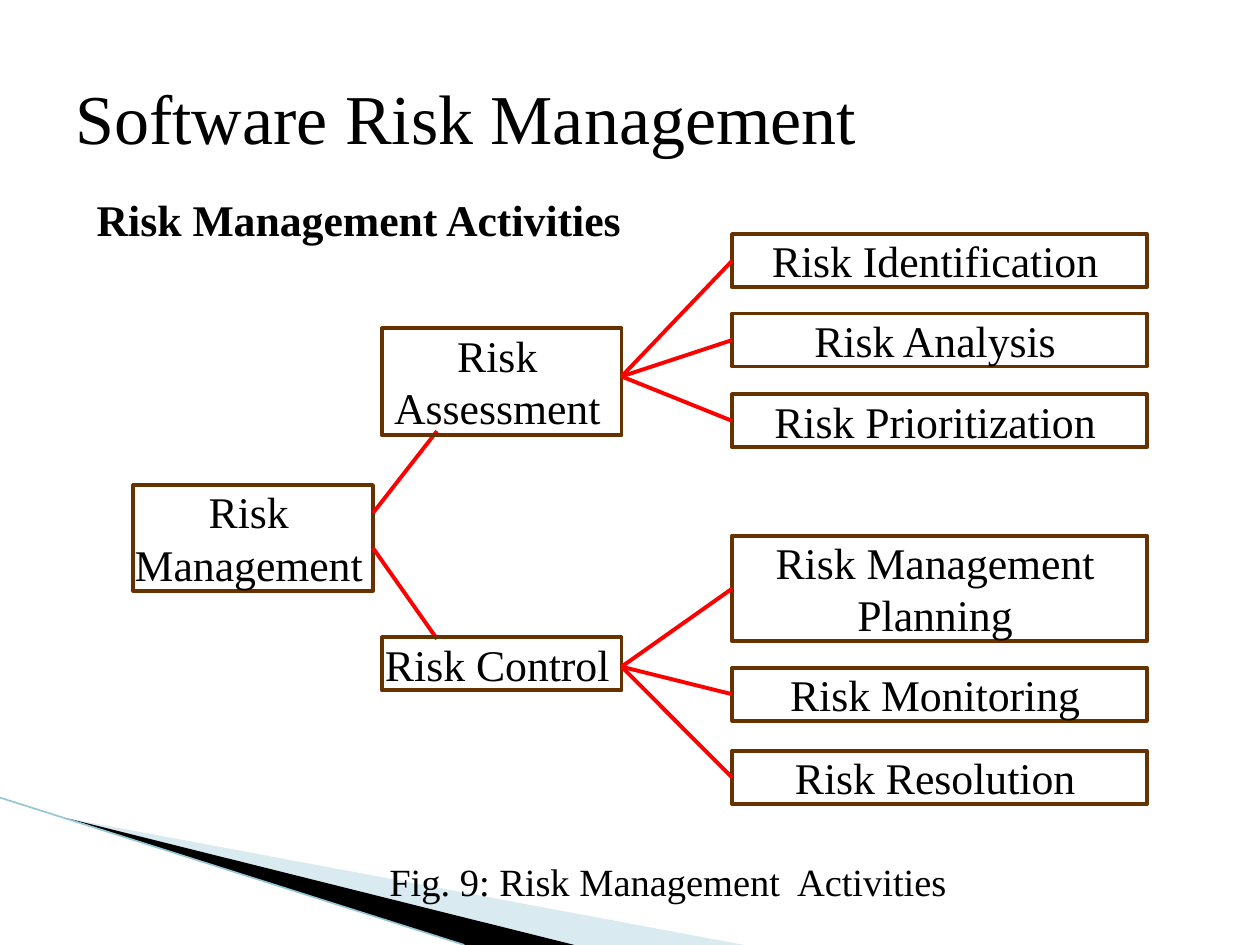
from dataclasses import dataclass

from lxml import etree
from pptx import Presentation
from pptx.dml.color import RGBColor
from pptx.enum.shapes import MSO_CONNECTOR, MSO_SHAPE
from pptx.enum.text import MSO_ANCHOR, PP_ALIGN
from pptx.oxml.ns import qn
from pptx.util import Cm, Pt

RECTANGLE = MSO_SHAPE.RECTANGLE
STRAIGHT = MSO_CONNECTOR.STRAIGHT
TOP, MIDDLE = MSO_ANCHOR.TOP, MSO_ANCHOR.MIDDLE
LEFT, CENTER = PP_ALIGN.LEFT, PP_ALIGN.CENTER

FONT = "Times New Roman"
BLACK, BROWN, RED = "000000", "653200", "FF0000"
PALE_BLUE, EDGE_BLUE = "A0CBDC", "97C5D8"
NODE_WIDTH, LEAF_WIDTH = 4.83, 8.36
ONE_LINE, TWO_LINES = 1.07, 2.13


@dataclass
class Box:
    left: float
    top: float
    width: float
    height: float

    @property
    def right(self):
        return self.left + self.width

    @property
    def middle(self):
        return self.top + self.height / 2

    def lengths(self):
        return [Cm(value) for value in (self.left, self.top, self.width, self.height)]


def color(value):
    return RGBColor.from_string(value)


def write(shape, text, size, align=LEFT, anchor=TOP, bold=False, insets=(0, 0)):
    text_frame = shape.text_frame
    text_frame.text = text
    text_frame.word_wrap = True
    text_frame.vertical_anchor = anchor
    text_frame.margin_left, text_frame.margin_right = [Cm(inset) for inset in insets]
    text_frame.margin_top = text_frame.margin_bottom = 0
    paragraph = text_frame.paragraphs[0]
    paragraph.alignment = align
    font = paragraph.runs[0].font
    font.name, font.size, font.bold = FONT, Pt(size), bold
    font.color.rgb = color(BLACK)


def add_text(slide, box, text, size, **style):
    write(slide.shapes.add_textbox(*box.lengths()), text, size, **style)


def add_node(slide, box, text):
    shape = slide.shapes.add_shape(RECTANGLE, *box.lengths())
    shape.shadow.inherit = False
    shape.fill.background()
    shape.line.color.rgb = color(BROWN)
    shape.line.width = Pt(2.25)
    write(shape, text, 25, align=CENTER, insets=(0, 0.18))


def add_line(slide, start, end, line_color=RED, width=2.25):
    points = [Cm(value) for value in (*start, *end)]
    connector = slide.shapes.add_connector(STRAIGHT, *points)
    connector.line.color.rgb = color(line_color)
    connector.line.width = Pt(width)
    etree.SubElement(connector._element.spPr, qn("a:effectLst"))


def add_wedge(slide, points, fill_color, opacity=100):
    start, *others = [(Cm(x), Cm(y)) for x, y in points]
    builder = slide.shapes.build_freeform(*start)
    builder.add_line_segments(others, close=True)
    shape = builder.convert_to_shape()
    shape.shadow.inherit = False
    shape.fill.solid()
    shape.fill.fore_color.rgb = color(fill_color)
    shape.line.fill.background()
    fill = shape._element.spPr.find(qn("a:solidFill"))
    etree.SubElement(fill[0], qn("a:alpha"), val=str(opacity * 1000))


def draw_corner(slide, box):
    bottom = box.top + box.height
    tip = (box.left + 1.37, box.top + 0.42)
    edge, inner = box.left + 9.36, box.left + 11.58
    add_wedge(slide, [tip, (box.right, bottom), (inner, bottom)], PALE_BLUE, 40)
    add_wedge(slide, [tip, (inner, bottom), (edge, bottom)], BLACK)
    add_line(slide, (box.left, box.top), (edge, bottom), EDGE_BLUE, 0.95)


def draw_headings(slide, box):
    title = Box(box.left, box.top, box.width, 3.18)
    add_text(slide, title, "Software Risk Management", 40, anchor=MIDDLE, insets=(0.25, 0.25))
    subtitle = Box(box.left + 0.68, box.top + 3.12, 12, 1.1)
    add_text(slide, subtitle, "Risk Management Activities", 25, bold=True)


def draw_root(slide, box):
    add_node(slide, box, "Risk Management")
    reach = box.right + 1.29
    add_line(slide, (box.right, box.top + 0.56), (reach, box.top - 1.09))
    add_line(slide, (box.right, box.top + 1.27), (reach, box.top + 3.1))


def draw_branch(slide, box, node_text, node_top, node_height, hub_drop, leaves):
    node = Box(box.left, box.top + node_top, NODE_WIDTH, node_height)
    add_node(slide, node, node_text)
    for text, offset, height in leaves:
        leaf = Box(box.right - LEAF_WIDTH, box.top + offset, LEAF_WIDTH, height)
        add_node(slide, leaf, text)
        add_line(slide, (node.right, node.top + hub_drop), (leaf.left, leaf.middle))


def main():
    presentation = Presentation()
    presentation.slide_width, presentation.slide_height = Cm(25.4), Cm(19.05)
    slide = presentation.slides.add_slide(presentation.slide_layouts[6])
    draw_corner(slide, Box(0, 16.08, 15.0, 2.97))
    draw_headings(slide, Box(1.27, 0.76, 22.86, 4.2))
    draw_root(slide, Box(2.69, 9.78, NODE_WIDTH, TWO_LINES))
    assessment = [
        ("Risk Identification", 0, ONE_LINE),
        ("Risk Analysis", 1.6, ONE_LINE),
        ("Risk Prioritization", 3.23, ONE_LINE),
    ]
    draw_branch(slide, Box(7.7, 4.72, 15.42, 4.3), "Risk Assessment", 1.9, 2.16, 0.97, assessment)
    control = [
        ("Risk Management Planning", 0, TWO_LINES),
        ("Risk Monitoring", 2.66, ONE_LINE),
        ("Risk Resolution", 4.34, ONE_LINE),
    ]
    draw_branch(slide, Box(7.7, 10.8, 15.42, 5.41), "Risk Control", 2.05, ONE_LINE, 0.59, control)
    add_text(slide, Box(7.85, 17.3, 12.9, 1), "Fig. 9: Risk Management  Activities", 22)
    presentation.save("out.pptx")


if __name__ == "__main__":
    main()
